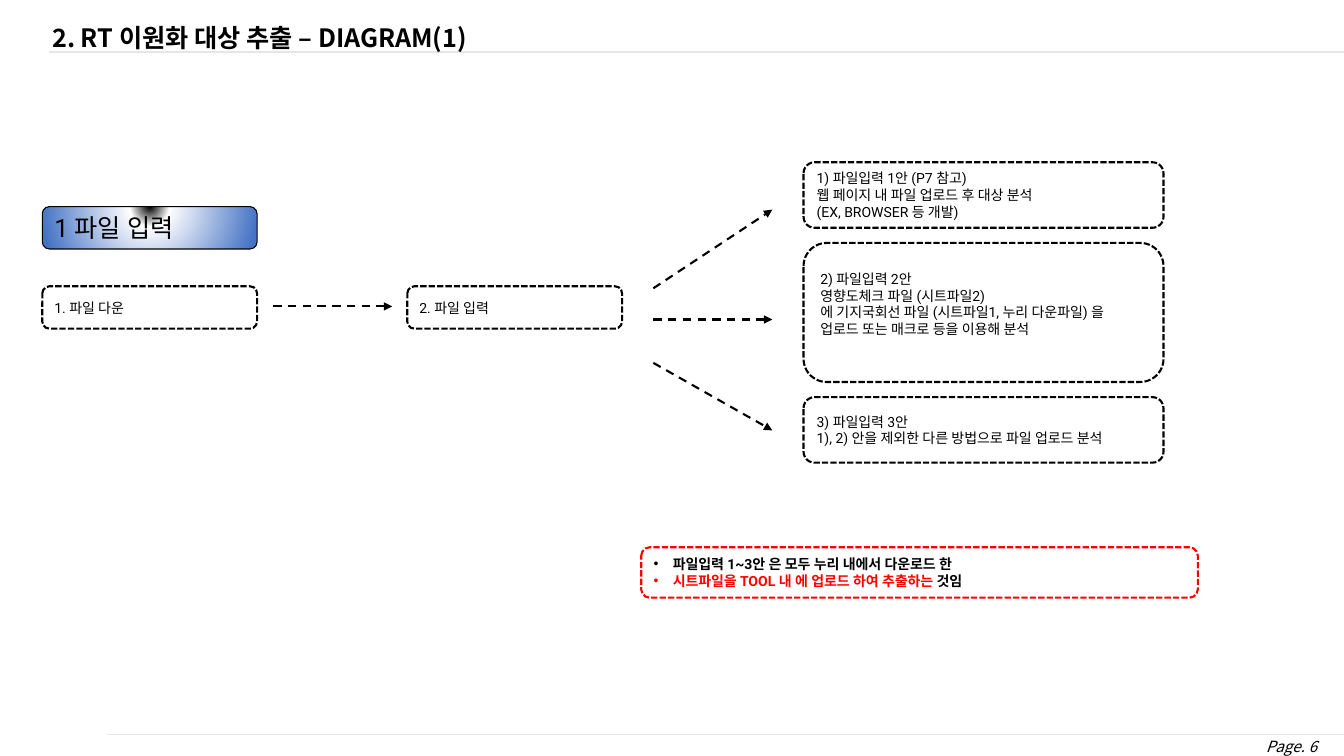
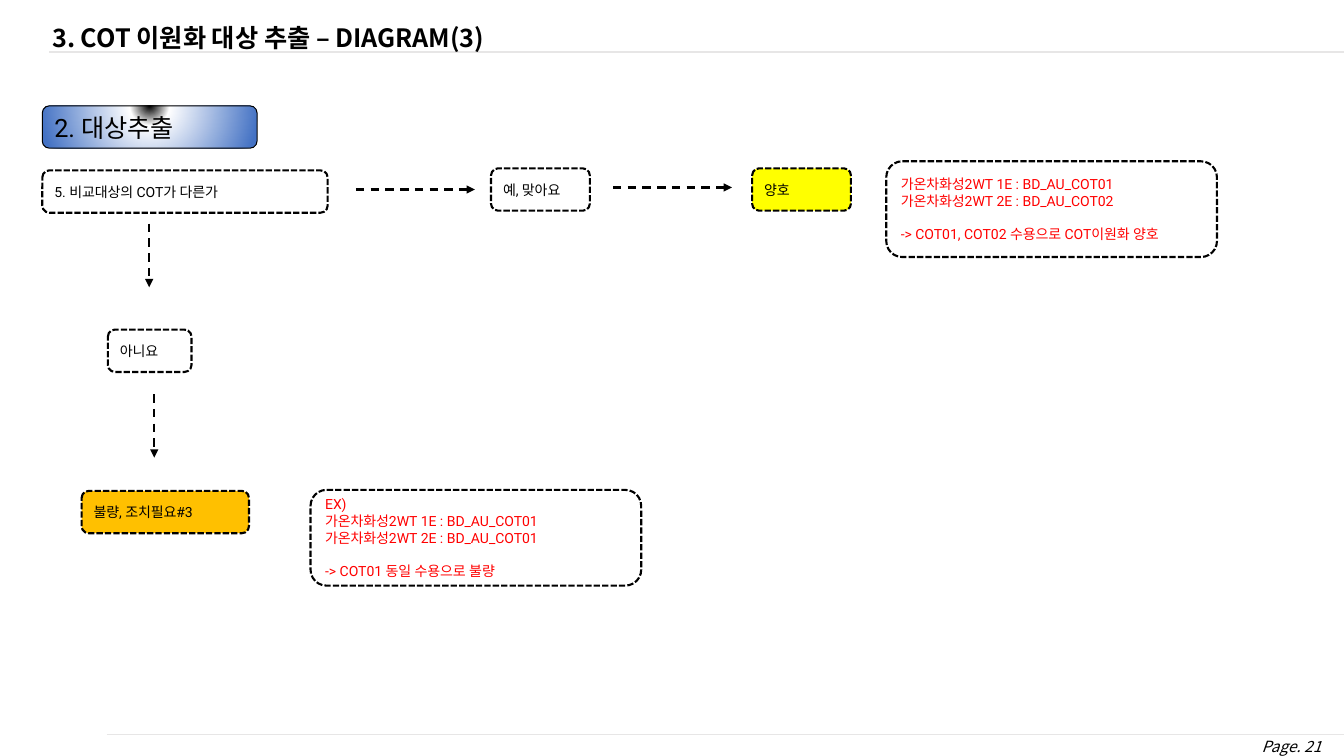
from dataclasses import dataclass

from lxml import etree
from pptx import Presentation
from pptx.dml.color import RGBColor
from pptx.enum import dml, shapes, text
from pptx.oxml import ns, parse_xml
from pptx.util import Inches, Pt


@dataclass(frozen=True)
class Theme:
    black: str = "000000"
    white: str = "FFFFFF"
    red: str = "FF0000"
    yellow: str = "FFFF00"
    orange: str = "FFC000"
    blue: str = "4472C4"
    rule: str = "E7E6E6"
    title_font: str = "Noto Sans CJK KR"
    body_font: str = "Roboto"
    heading: int = 18
    page: int = 11
    body: int = 10
    thick: float = 1.5
    thin: float = 0.75


T = Theme()
WIDTH, HEIGHT = 13.33, 7.5
LEFT = 0.42
BOX_H = 0.42
STEP_W = 2.13
ARROW = 1.18  # length of a horizontal arrow
DROP = 0.63  # length of a vertical arrow
LINE_PT = 12  # height of one body line
LINE_IN = 0.17

# Content: slide 1
OPTION_X, OPTION_W, OPTION_TOP, OPTION_GAP = 7.97, 3.57, 1.61, 0.15
# (height, lines, extra space at the bottom)
OPTIONS = [
    (0.65, ["1) 파일입력 1안 (P7 참고)",
            "웹 페이지 내 파일 업로드 후 대상 분석",
            "(EX, BROWSER 등 개발)"], 0),
    (1.38, ["2) 파일입력 2안",
            "영향도체크 파일 (시트파일2)",
            "에 기지국회선 파일 (시트파일1, 누리 다운파일) 을",
            "업로드 또는 매크로 등을 이용해 분석"], LINE_IN),
    (0.65, ["3) 파일입력 3안",
            "1), 2) 안을 제외한 다른 방법으로 파일 업로드 분석"], 0),
]
NOTES = [
    [("파일입력 1~3안 은 모두 누리 내에서 다운로드 한", T.black)],
    [("시트파일을 TOOL 내 에 업로드 하여 추출하는 ", T.red), ("것임", T.black)],
]
FAN_X = 6.48
FAN_ENDS = [(2.86, 2.08), (3.17, 3.17), (3.6, 4.27)]

# Content: slide 2 (left, top, width, label, fill)
DECISIONS = [
    (LEFT, 1.69, 2.83, "5. 비교대상의 COT가 다른가", T.white),
    (4.87, 1.67, 0.98, "예, 맞아요", T.white),
    (7.46, 1.67, 0.98, "양호", T.yellow),
    (1.07, 3.27, 0.83, "아니요", T.white),
    (0.81, 4.87, 1.66, "불량, 조치필요#3", T.orange),
]
ACROSS = [(3.53, 1.88), (6.08, 1.86)]
DOWN = [(1.48, 2.22), (1.53, 3.91)]
# The last line of each example is its conclusion
EXAMPLE_W, EXAMPLE_H = 3.28, 0.95
EXAMPLES = [
    (8.79, 1.6, ["가온차화성2WT 1E : BD_AU_COT01",
                 "가온차화성2WT 2E : BD_AU_COT02",
                 "-> COT01, COT02 수용으로 COT이원화 양호"]),
    (3.08, 4.86, ["EX)",
                  "가온차화성2WT 1E : BD_AU_COT01",
                  "가온차화성2WT 2E : BD_AU_COT01",
                  "-> COT01 동일 수용으로 불량"]),
]


# Text
def add_run(paragraph, words, size, color=T.black, font=T.body_font,
            bold=False, italic=False):
    run = paragraph.add_run()
    run.text = words
    run.font.size = Pt(size)
    run.font.name = font
    run.font.bold = bold
    run.font.italic = italic
    run.font.color.rgb = RGBColor.from_string(color)
    east_asian = etree.SubElement(run.font._element, ns.qn("a:ea"))
    east_asian.set("typeface", font)


def paragraphs(frame, count):
    return [frame.paragraphs[0]] + [frame.add_paragraph() for _ in range(count - 1)]


def write_lines(frame, lines, size=T.body, color=T.black):
    written = paragraphs(frame, len(lines))
    for paragraph, words in zip(written, lines):
        paragraph.alignment = text.PP_ALIGN.LEFT
        add_run(paragraph, words, size, color)
    return written


def label(slide, left, top, width, height):
    frame = slide.shapes.add_textbox(
        Inches(left), Inches(top), Inches(width), Inches(height)).text_frame
    frame.word_wrap = False
    return frame


# Boxes and lines
def rounded_box(slide, left, top, width, height):
    box = slide.shapes.add_shape(
        shapes.MSO_SHAPE.ROUNDED_RECTANGLE,
        Inches(left), Inches(top), Inches(width), Inches(height))
    box.shadow.inherit = False
    box.text_frame.word_wrap = True
    box.text_frame.vertical_anchor = text.MSO_ANCHOR.MIDDLE
    return box


def outline(line, color, width, dash=None):
    line.color.rgb = RGBColor.from_string(color)
    line.width = Pt(width)
    if dash:
        line.dash_style = dash


def dashed_box(slide, left, top, width, height, fill=T.white, border=T.black):
    box = rounded_box(slide, left, top, width, height)
    box.fill.solid()
    box.fill.fore_color.rgb = RGBColor.from_string(fill)
    outline(box.line, border, T.thick, dml.MSO_LINE.SQUARE_DOT)
    return box.text_frame


def stage_heading(slide, top, words):
    box = rounded_box(slide, LEFT, top, STEP_W, BOX_H)
    stops = "".join(
        f'<a:gs pos="{pos * 1000}"><a:srgbClr val="{color}"/></a:gs>'
        for pos, color in [(0, T.black), (18, T.white), (100, T.blue)])
    glow = parse_xml(
        f'<a:gradFill {ns.nsdecls("a")} rotWithShape="1"><a:gsLst>{stops}</a:gsLst>'
        '<a:path path="circle"><a:fillToRect l="50000" t="-80000" r="50000" '
        'b="180000"/></a:path></a:gradFill>')
    box._element.spPr.find(ns.qn("a:prstGeom")).addnext(glow)
    outline(box.line, T.black, T.thin)
    write_lines(box.text_frame, [words], T.heading)


def straight(slide, x1, y1, x2, y2, color, width, dash=None):
    connector = slide.shapes.add_connector(
        shapes.MSO_CONNECTOR.STRAIGHT,
        Inches(x1), Inches(y1), Inches(x2), Inches(y2))
    outline(connector.line, color, width, dash)
    etree.SubElement(connector._element.spPr, ns.qn("a:effectLst"))
    return connector


def arrow(slide, x1, y1, x2, y2):
    connector = straight(slide, x1, y1, x2, y2, T.black, T.thick, dml.MSO_LINE.DASH)
    head = etree.SubElement(connector.line._get_or_add_ln(), ns.qn("a:tailEnd"))
    head.set("type", "triangle")


# Shared frame: title, rules and page number
def new_slide(deck, title, page):
    slide = deck.slides.add_slide(deck.slide_layouts[6])
    straight(slide, 0.49, 0.52, WIDTH, 0.52, T.rule, T.thick)
    straight(slide, 1.06, 7.29, WIDTH, 7.29, T.rule, T.thin)
    footer = label(slide, 12.44, 7.26, 0.74, 0.29)
    footer.margin_left = footer.margin_right = Inches(0.06)
    footer.paragraphs[0].alignment = text.PP_ALIGN.CENTER
    add_run(footer.paragraphs[0], f"Page. {page}", T.page,
            font=T.title_font, italic=True)
    heading = label(slide, LEFT, 0.11, 4.8, 0.42).paragraphs[0]
    heading.alignment = text.PP_ALIGN.LEFT
    heading.line_spacing = 1.2
    add_run(heading, title, T.heading, font=T.title_font, bold=True)
    return slide


def file_input_slide(deck):
    slide = new_slide(deck, "2. RT 이원화 대상 추출 – DIAGRAM(1)", 6)
    stage_heading(slide, 2.05, "1 파일 입력")
    for left, words in [(LEFT, "1. 파일 다운"), (4.04, "2. 파일 입력")]:
        write_lines(dashed_box(slide, left, 2.84, STEP_W, BOX_H), [words])
    arrow(slide, 2.71, 3.04, 2.71 + ARROW, 3.04)
    for start, end in FAN_ENDS:
        arrow(slide, FAN_X, start, FAN_X + ARROW, end)

    # Three input options, stacked
    top = OPTION_TOP
    for height, lines, space in OPTIONS:
        frame = dashed_box(slide, OPTION_X, top, OPTION_W, height)
        frame.margin_bottom = Inches(0.05 + space)
        write_lines(frame, lines)
        top += height + OPTION_GAP

    # Bulleted remark
    remark = dashed_box(slide, 6.36, 5.43, 5.52, 0.5, border=T.red)
    for paragraph, runs in zip(paragraphs(remark, len(NOTES)), NOTES):
        paragraph.alignment = text.PP_ALIGN.LEFT
        for words, color in runs:
            add_run(paragraph, words, T.body, color, bold=True)
        props = paragraph._p.get_or_add_pPr()
        props.set("marL", str(Inches(0.19)))
        props.set("indent", str(-Inches(0.19)))
        etree.SubElement(props, ns.qn("a:buFont")).set("typeface", "Arial")
        etree.SubElement(props, ns.qn("a:buChar")).set("char", "•")


def extraction_slide(deck):
    slide = new_slide(deck, "3. COT 이원화 대상 추출 – DIAGRAM(3)", 21)
    stage_heading(slide, 1.05, "2. 대상추출")
    for left, top, width, words, fill in DECISIONS:
        write_lines(dashed_box(slide, left, top, width, BOX_H, fill), [words])
    for x, y in ACROSS:
        arrow(slide, x, y, x + ARROW, y)
    for x, y in DOWN:
        arrow(slide, x, y, x, y + DROP)
    for left, top, lines in EXAMPLES:
        frame = dashed_box(slide, left, top, EXAMPLE_W, EXAMPLE_H)
        conclusion = write_lines(frame, lines, color=T.red)[-1]
        conclusion.space_before = Pt(LINE_PT)


def main():
    deck = Presentation()
    deck.slide_width, deck.slide_height = Inches(WIDTH), Inches(HEIGHT)
    file_input_slide(deck)
    extraction_slide(deck)
    deck.save("out.pptx")


if __name__ == "__main__":
    main()
